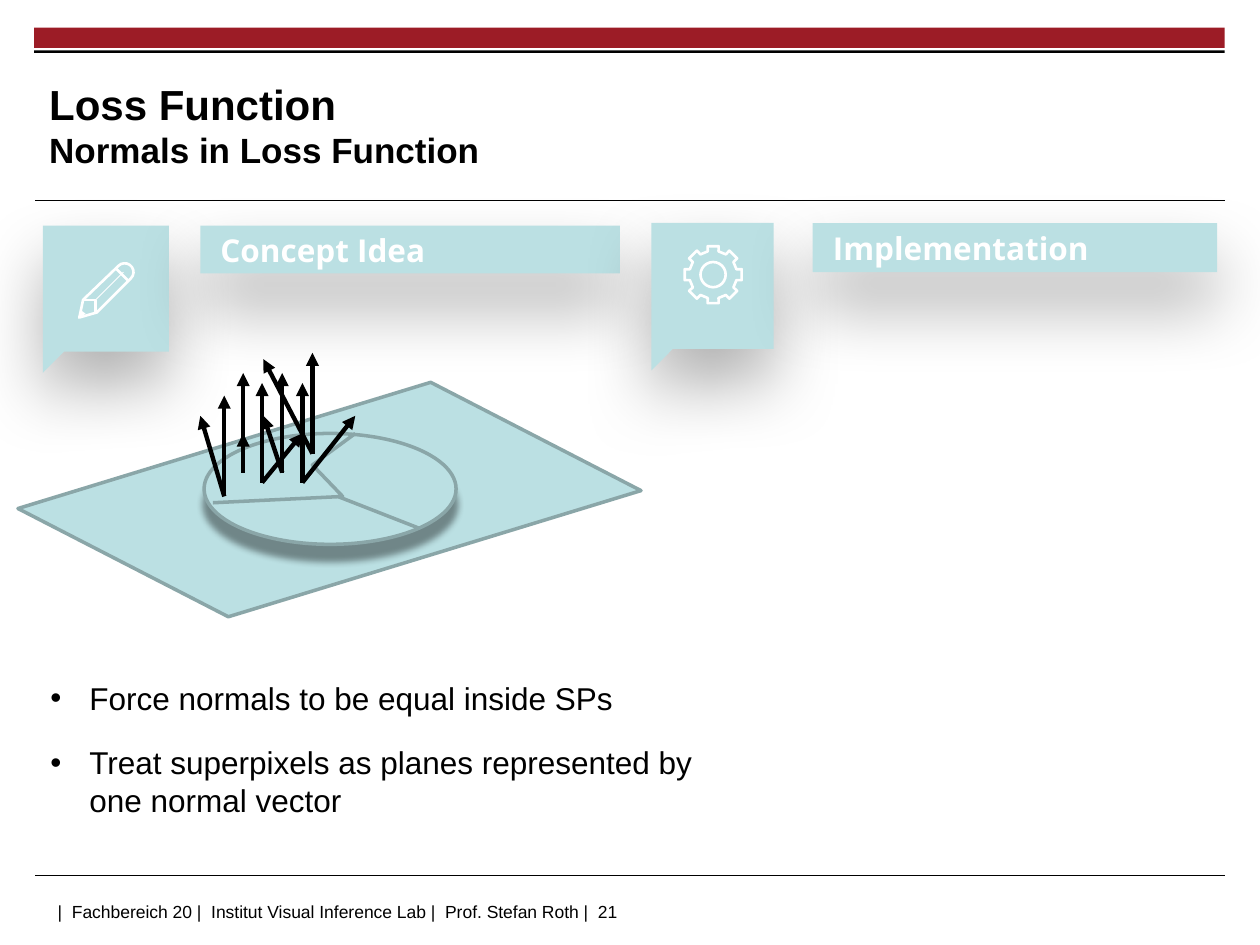
from math import cos, radians, sin

from lxml.etree import SubElement
from pptx import Presentation
from pptx.dml.color import RGBColor
from pptx.enum.shapes import MSO_CONNECTOR as CONN, MSO_SHAPE as SHAPE
from pptx.enum.text import MSO_ANCHOR as ANCHOR, MSO_AUTO_SIZE as AUTO, PP_ALIGN as ALIGN
from pptx.oxml.ns import qn
from pptx.util import Inches, Pt

COLORS = {
    "red": "9C1C26",
    "black": "000000",
    "white": "FFFFFF",
    "aqua": "BBE0E3",
    "edge": "8AA6A8",
}
SOFT_SHADOW = (30, 40, 20)  # opacity %, blur pt, distance pt
TIGHT_SHADOW = (40, 4, 9)


def rgb(name):
    return RGBColor.from_string(COLORS[name])


def add_run(p, text, size=18, color="black", bold=False, font="Arial"):
    r = p.add_run()
    r.text = text
    r.font.name, r.font.size, r.font.bold = font, Pt(size), bold
    r.font.color.rgb = rgb(color)
    return r


def add_bullet(p, indent=0.31):
    pPr = p._p.get_or_add_pPr()
    pPr.set("marL", str(Inches(indent)))
    pPr.set("indent", str(Inches(-indent)))
    SubElement(pPr, qn("a:buChar")).set("char", "•")


def place(sp, box):
    sp.left, sp.top, sp.width, sp.height = (Inches(v) for v in box)


def setup_frame(tf, margins=(0.1, 0.05, 0.1, 0.05), anchor=ANCHOR.TOP):
    tf.word_wrap = True
    tf.auto_size = AUTO.NONE
    tf.vertical_anchor = anchor
    tf.margin_left, tf.margin_top, tf.margin_right, tf.margin_bottom = (
        Inches(m) for m in margins)
    p = tf.paragraphs[0]
    p.alignment = ALIGN.LEFT
    return p


class SlideBuilder:
    def __init__(self, slide):
        self.slide = slide
        self.shapes = slide.shapes

    def style(self, sp, fill=None, line=None, width=2, shadow=None):
        if fill:
            sp.fill.solid()
            sp.fill.fore_color.rgb = rgb(fill)
        else:
            sp.fill.background()
        if line:
            sp.line.color.rgb = rgb(line)
            sp.line.width = Pt(width)
        else:
            sp.line.fill.background()
        sp.shadow.inherit = False
        if shadow:
            alpha, blur, dist = shadow
            effects = sp._element.spPr.find(qn("a:effectLst"))
            outer = SubElement(effects, qn("a:outerShdw"), blurRad=str(Pt(blur)),
                               dist=str(Pt(dist)), dir=str(90 * 60000),
                               algn="ctr", rotWithShape="0")
            clr = SubElement(outer, qn("a:srgbClr"), val=COLORS["black"])
            SubElement(clr, qn("a:alpha"), val=str(alpha * 1000))
        return sp

    def shape(self, kind, box, **style):
        sp = self.shapes.add_shape(kind, *(Inches(v) for v in box))
        return self.style(sp, **style)

    def freeform(self, points, close=True, **style):
        pts = [(Inches(x), Inches(y)) for x, y in points]
        builder = self.shapes.build_freeform(*pts[0])
        builder.add_line_segments(pts[1:], close=close)
        return self.style(builder.convert_to_shape(), **style)

    def line(self, x1, y1, x2, y2, color="black", width=0.6, arrow=False):
        cx = self.shapes.add_connector(
            CONN.STRAIGHT, Inches(x1), Inches(y1), Inches(x2), Inches(y2))
        cx.line.color.rgb = rgb(color)
        cx.line.width = Pt(width)
        spPr = cx._element.spPr
        if arrow:
            SubElement(spPr.find(qn("a:ln")), qn("a:tailEnd"), type="triangle")
        SubElement(spPr, qn("a:effectLst"))

    def title(self, box, main, sub):
        sp = self.shapes.title
        place(sp, box)
        p = setup_frame(sp.text_frame, (0, 0, 0, 0), ANCHOR.MIDDLE)
        add_run(p, main, size=24, bold=True)
        p.add_line_break()
        add_run(p, sub, size=20, bold=True)

    def bullets(self, box, items, gap):
        sp = self.slide.placeholders[1]
        place(sp, box)
        tf = sp.text_frame
        setup_frame(tf)
        for i, item in enumerate(items):
            p = tf.add_paragraph() if i else tf.paragraphs[0]
            add_bullet(p)
            p.space_before = Pt(gap if i else 0)
            add_run(p, item)

    def text(self, box, text, **fmt):
        sp = self.shapes.add_textbox(*(Inches(v) for v in box))
        add_run(setup_frame(sp.text_frame), text, **fmt)

    def heading(self, box, text):
        sp = self.shape(SHAPE.RECTANGLE, box, fill="aqua", shadow=SOFT_SHADOW)
        p = setup_frame(sp.text_frame, (0.16, 0.05, 0.1, 0.05), ANCHOR.MIDDLE)
        add_run(p, text, color="white", bold=True, font="Open Sans")

    def tag(self, x, y, width, height=1, tail=0.17):
        """Square label with a pointed tail at its lower left."""
        bottom = y + height
        self.freeform([(x, y), (x + width, y), (x + width, bottom), (x + tail, bottom),
                       (x, bottom + tail)], fill="aqua", shadow=SOFT_SHADOW)

    def pencil_icon(self):
        pen = dict(line="white", width=1.5)
        cap = [(0.99 + 0.07 * cos(radians(a)), 2.16 + 0.07 * sin(radians(a)))
               for a in range(-135, 46, 20)]
        self.freeform([(0.63, 2.52), (0.66, 2.38), *cap, (0.77, 2.48)], **pen)
        self.freeform([(0.66, 2.38), (0.68, 2.38), (0.76, 2.38), (0.76, 2.48)],
                      close=False, **pen)
        self.freeform([(0.76, 2.38), (0.98, 2.16)], close=False, line="white", width=0.5)
        self.freeform([(0.92, 2.13), (1.02, 2.23)], close=False, **pen)
        self.freeform([(0.64, 2.46), (0.68, 2.49), (0.62, 2.53)], fill="white")

    def gear_icon(self, cx, cy, teeth=8, hub=0.1):
        step = 360 / teeth
        profile = [(-13, 0.19), (-11, 0.23), (11, 0.23), (13, 0.19)]  # angle, radius
        points = []
        for i in range(teeth):
            for offset, radius in profile:
                a = radians(i * step + offset)
                points.append((cx + radius * cos(a), cy + radius * sin(a)))
        self.freeform(points, line="white", width=1.5)
        self.shape(SHAPE.OVAL, (cx - hub, cy - hub, 2 * hub, 2 * hub),
                   line="white", width=1.5)


def main():
    prs = Presentation()
    prs.slide_width, prs.slide_height = Inches(10), Inches(7.5)
    s = SlideBuilder(prs.slides.add_slide(prs.slide_layouts[1]))

    s.shape(SHAPE.RECTANGLE, (0.27, 0.22, 9.45, 0.16), fill="red")
    s.shape(SHAPE.RECTANGLE, (0.27, 0.4, 9.45, 0.02), fill="black")
    for y in (1.59, 6.95):
        s.line(0.28, y, 9.72, y)
    s.text((0.36, 7.1, 7.8, 0.25),
           "|  Fachbereich 20 |  Institut Visual Inference Lab |  Prof. Stefan Roth |  21",
           size=10)
    s.title((0.39, 0.53, 7.26, 0.92), "Loss Function", "Normals in Loss Function")

    outline = dict(line="edge", width=2)
    plane = s.shape(SHAPE.PARALLELOGRAM, (0.23, 3.31, 4.77, 1.31), fill="aqua", **outline)
    plane.adjustments[0] = 1.027
    plane.rotation = 343
    plane._element.spPr.find(qn("a:xfrm")).set("flipH", "1")
    s.shape(SHAPE.OVAL, (1.62, 3.44, 2, 0.88), fill="aqua", shadow=TIGHT_SHADOW, **outline)
    s.freeform([(1.69, 3.99), (2.72, 3.94), (2.48, 3.69), (2.82, 3.44)],
               close=False, **outline)
    s.line(2.68, 3.94, 3.32, 4.19, color="edge", width=2)

    s.tag(0.34, 1.79, 1)
    s.pencil_icon()
    s.heading((1.59, 1.79, 3.33, 0.38), "Concept Idea")
    s.bullets((0.3, 5.34, 5.3, 1.21),
              ["Force normals to be equal inside SPs",
               "Treat superpixels as planes represented by one normal vector"], gap=15)

    # Each start point of a normal with the tips drawn from it
    normals = {
        (1.93, 3.75): [(1.93, 3.44), (1.93, 2.96)],
        (2.24, 3.75): [(2.09, 3.3), (2.24, 2.96)],
        (2.48, 3.6): [(2.09, 2.85), (2.48, 2.8)],
        (2.4, 3.83): [(2.82, 3.3), (2.4, 3.04)],
        (1.78, 3.94): [(1.59, 3.3), (1.78, 3.14)],
        (2.08, 3.83): [(2.4, 3.44), (2.08, 3.04)],
    }
    for start, tips in normals.items():
        for tip in tips:
            s.line(*start, *tip, width=2.5, arrow=True)

    s.tag(5.17, 1.77, 0.97)
    s.heading((6.45, 1.77, 3.21, 0.39), "Implementation")
    s.gear_icon(5.66, 2.18)

    prs.save("out.pptx")


if __name__ == "__main__":
    main()
